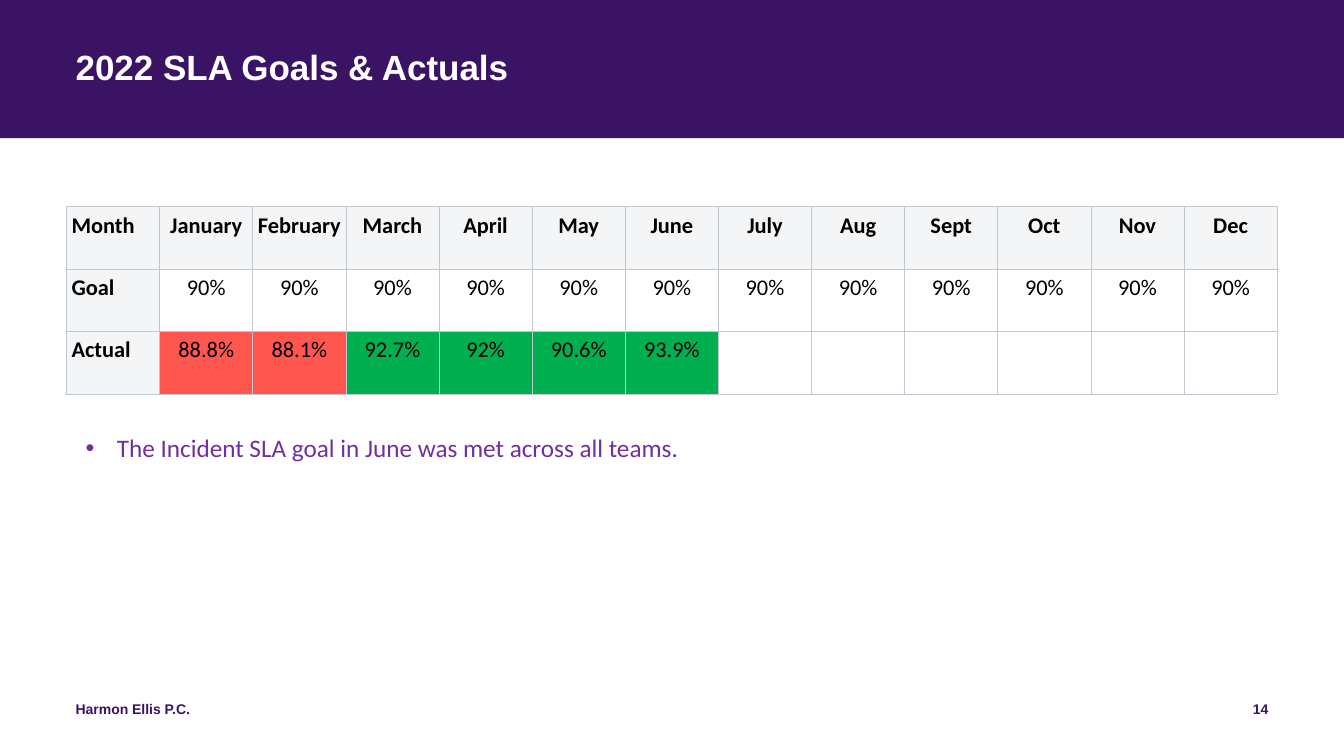
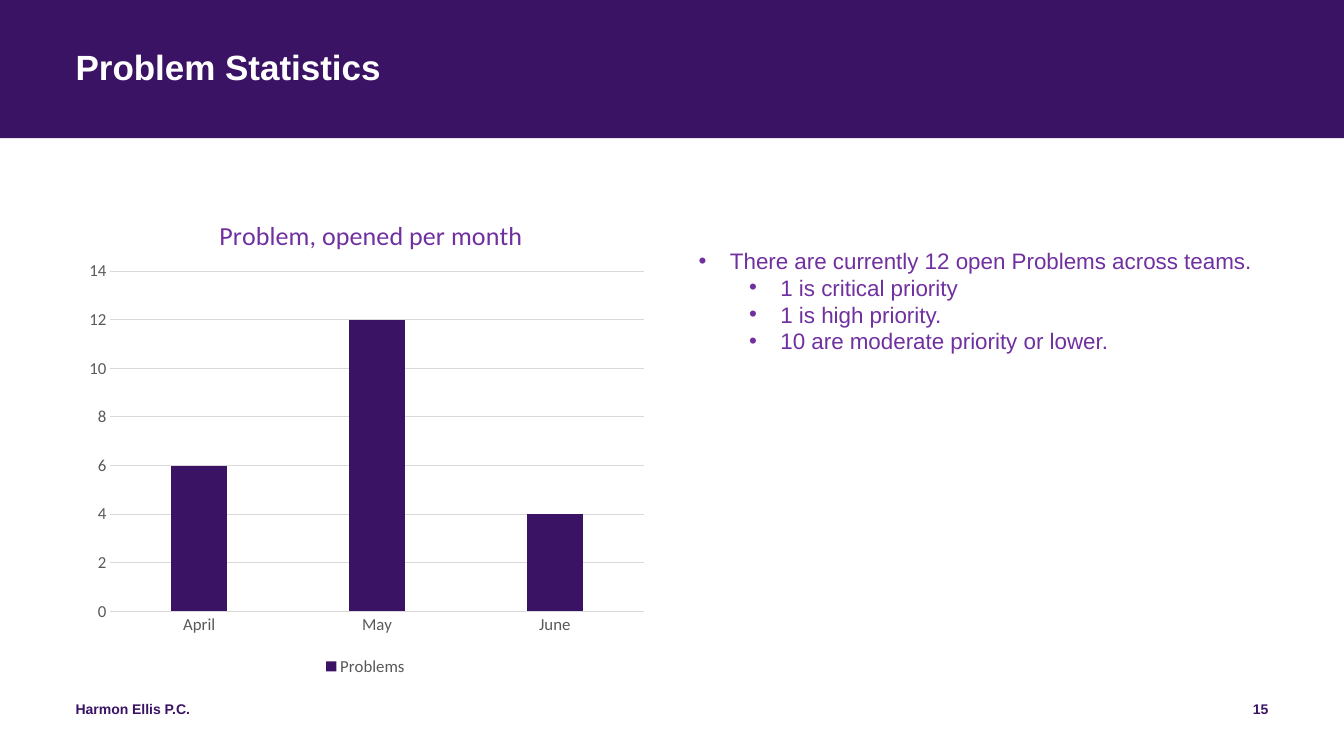
from pptx import Presentation
from pptx.chart.data import CategoryChartData as ChartData
from pptx.dml.color import RGBColor
from pptx.enum.chart import XL_CHART_TYPE as Kind, XL_LEGEND_POSITION as Legend, XL_TICK_MARK as Tick
from pptx.enum.shapes import MSO_SHAPE as Shape
from pptx.enum.text import MSO_ANCHOR as Anchor, MSO_AUTO_SIZE as Fit, PP_ALIGN as Align
from pptx.oxml import parse_xml
from pptx.oxml.ns import nsdecls, qn
from pptx.util import Inches, Pt

# Shared look
DEEP, VIOLET, WHITE, BLACK = "3B1365", "7030A0", "FFFFFF", "000000"
HEAD, EDGE, RED, GREEN = "F4F5F7", "C1C7D0", "FF5750", "00B050"
GREY, GRID = "595959", "D9D9D9"
LEFT, WIDE = 0.75, 11.83
FIRM = "Harmon Ellis P.C."
GOAL = 90


def color(code):
    return RGBColor.from_string(code)


def style(font, size, code, name="Arial", bold=False):
    font.size, font.name, font.bold = Pt(size), name, bold
    font.color.rgb = color(code)


def place(shape, x, y, w, h):
    shape.left, shape.top = Inches(x), Inches(y)
    shape.width, shape.height = Inches(w), Inches(h)


def frame_of(shape, pad_x=0, pad_y=0):
    frame = shape.text_frame
    frame.word_wrap, frame.auto_size = True, Fit.NONE
    frame.vertical_anchor = Anchor.TOP
    frame.margin_left = frame.margin_right = Inches(pad_x)
    frame.margin_top = frame.margin_bottom = Inches(pad_y)
    return frame


# Band, title and footer
def add_band(slide, width):
    """Put the title band on the layout, behind its placeholders."""
    band = slide.shapes.add_shape(Shape.RECTANGLE, 0, 0, width, Inches(1.37))
    band.shadow.inherit = False
    band.fill.solid()
    band.fill.fore_color.rgb = color(DEEP)
    band.line.fill.background()
    slide.slide_layout.shapes._spTree.insert(2, band._element)


def add_title(slide, text):
    title = slide.shapes.title
    place(title, LEFT, 0.5, WIDE, 0.81)
    para = frame_of(title).paragraphs[0]
    para.text, para.alignment, para.line_spacing = text, Align.LEFT, 0.9
    style(para.font, 25, WHITE, bold=True)


def add_note(slide, text, x, w, align):
    box = slide.shapes.add_textbox(0, 0, 0, 0)
    place(box, x, 6.95, w, 0.4)
    para = frame_of(box).paragraphs[0]
    para.text, para.alignment = text, align
    style(para.font, 10, DEEP, bold=True)


def add_slide(deck, layout, title, number):
    slide = deck.slides.add_slide(layout)
    add_title(slide, title)
    add_note(slide, FIRM, LEFT, 4.5, Align.LEFT)
    add_note(slide, str(number), 9.58, 3, Align.RIGHT)
    return slide


# Lists
def fill_list(slide, area, items, size, name):
    body = slide.placeholders[1]
    place(body, *area)
    frame = frame_of(body, 0.1, 0.05)
    for i, (level, text) in enumerate(items):
        para = frame.add_paragraph() if i else frame.paragraphs[0]
        para.text, para.level = text, level
        para.space_before = Pt(0)
        props = para._p.get_or_add_pPr()
        props.set("marL", str(Inches(0.31 + 0.5 * level)))
        props.set("indent", str(Inches(-0.31)))
        props.append(parse_xml(f'<a:buFont {nsdecls("a")} typeface="Arial"/>'))
        props.append(parse_xml(f'<a:buChar {nsdecls("a")} char="•"/>'))
        style(para.font, size, VIOLET, name)


# Table
def add_edges(cell):
    props = cell._tc.get_or_add_tcPr()
    for i, side in enumerate(("lnL", "lnR", "lnT", "lnB")):
        props.insert(i, parse_xml(
            f'<a:{side} {nsdecls("a")} w="{Pt(0.5)}"><a:solidFill>'
            f'<a:srgbClr val="{EDGE}"/></a:solidFill></a:{side}>'))


def fill_cell(cell, text, back, bold, align):
    cell.fill.solid()
    cell.fill.fore_color.rgb = color(back)
    cell.margin_left = cell.margin_right = Inches(0.05)
    cell.margin_top = cell.margin_bottom = Inches(0.05)
    para = cell.text_frame.paragraphs[0]
    para.text, para.alignment = text, align
    style(para.font, 16, BLACK, "Calibri", bold)
    add_edges(cell)


def add_grid(slide, months, actual):
    blank = [""] * (len(months) - len(actual))
    rows = [["Month", *months],
            ["Goal"] + [f"{GOAL}%"] * len(months),
            ["Actual"] + [f"{v}%" for v in actual] + blank]
    table = slide.shapes.add_table(
        len(rows), len(rows[0]), Inches(0.66), Inches(2.05),
        Inches(12.01), Inches(1.86)).table
    table.first_row = table.horz_banding = False
    for r, row in enumerate(rows):
        for c, text in enumerate(row):
            head = r == 0 or c == 0
            back = HEAD if head else WHITE
            if r == 2 and 0 < c <= len(actual):
                back = GREEN if actual[c - 1] >= GOAL else RED
            align = Align.CENTER if c else Align.LEFT
            fill_cell(table.cell(r, c), text, back, head, align)


# Chart
def set_layout(parent, index, **spots):
    """Fix a chart part in place, in shares of the chart's size."""
    for old in parent.findall(qn("c:layout")):
        parent.remove(old)
    inner = '<c:layoutTarget val="inner"/>' if "w" in spots else ""
    modes = "".join(f'<c:{k}Mode val="edge"/>' for k in spots if k in "xy")
    sizes = "".join(f'<c:{k} val="{v}"/>' for k, v in spots.items())
    parent.insert(index, parse_xml(
        f'<c:layout {nsdecls("c")}><c:manualLayout>{inner}{modes}{sizes}'
        '</c:manualLayout></c:layout>'))


def style_axis(axis):
    axis.major_tick_mark = axis.minor_tick_mark = Tick.NONE
    style(axis.tick_labels.font, 12, GREY, "Calibri")


def add_bars(slide, title, name, cats, vals):
    data = ChartData()
    data.categories = cats
    data.add_series(name, vals)
    chart = slide.shapes.add_chart(
        Kind.COLUMN_CLUSTERED, Inches(LEFT), Inches(1.86),
        Inches(5.75), Inches(4.89), data).chart
    style(chart.font, 10, BLACK, "Calibri")

    para = chart.chart_title.text_frame.paragraphs[0]
    para.text = title
    style(para.runs[0].font, 18.6, VIOLET, "Calibri")
    set_layout(chart.chart_title._element, 1, x=0.24, y=0.05)
    set_layout(chart._chartSpace.chart.plotArea, 0, x=0.06, y=0.17, w=0.92, h=0.69)

    chart.has_legend = True
    chart.legend.position = Legend.BOTTOM
    chart.legend.include_in_layout = False
    style(chart.legend.font, 12, GREY, "Calibri")

    plot = chart.plots[0]
    plot.gap_width, plot.overlap, plot.vary_by_categories = 219, -27, False
    bars = plot.series[0].format.fill
    bars.solid()
    bars.fore_color.rgb = color(DEEP)

    base, side = chart.category_axis, chart.value_axis
    style_axis(base)
    style_axis(side)
    side.minimum_scale, side.maximum_scale, side.major_unit = 0, 14, 2
    side.format.line.fill.background()
    for line in (base.format.line, side.major_gridlines.format.line):
        line.width = Pt(0.75)
        line.color.rgb = color(GRID)


def main():
    deck = Presentation()
    deck.slide_width, deck.slide_height = Inches(13.33), Inches(7.5)
    layout = deck.slide_layouts[1]

    # Goals
    goals = add_slide(deck, layout, "2022 SLA Goals & Actuals", 14)
    add_band(goals, deck.slide_width)
    months = ["January", "February", "March", "April", "May", "June",
              "July", "Aug", "Sept", "Oct", "Nov", "Dec"]
    add_grid(goals, months, [88.8, 88.1, 92.7, 92, 90.6, 93.9])
    fill_list(goals, (LEFT, 4.24, WIDE, 0.4),
              [(0, "The Incident SLA goal in June was met across all teams.")],
              18, "Calibri")

    # Problems
    stats = add_slide(deck, layout, "Problem Statistics", 15)
    add_bars(stats, "Problem, opened per month", "Problems",
             ["April", "May", "June"], [6, 12, 4])
    fill_list(stats, (6.83, 2.4, 6.06, 1.72),
              [(0, "There are currently 12 open Problems across teams."),
               (1, "1 is critical priority"),
               (1, "1 is high priority."),
               (1, "10 are moderate priority or lower.")],
              16, "Arial")

    deck.save("out.pptx")


if __name__ == "__main__":
    main()
